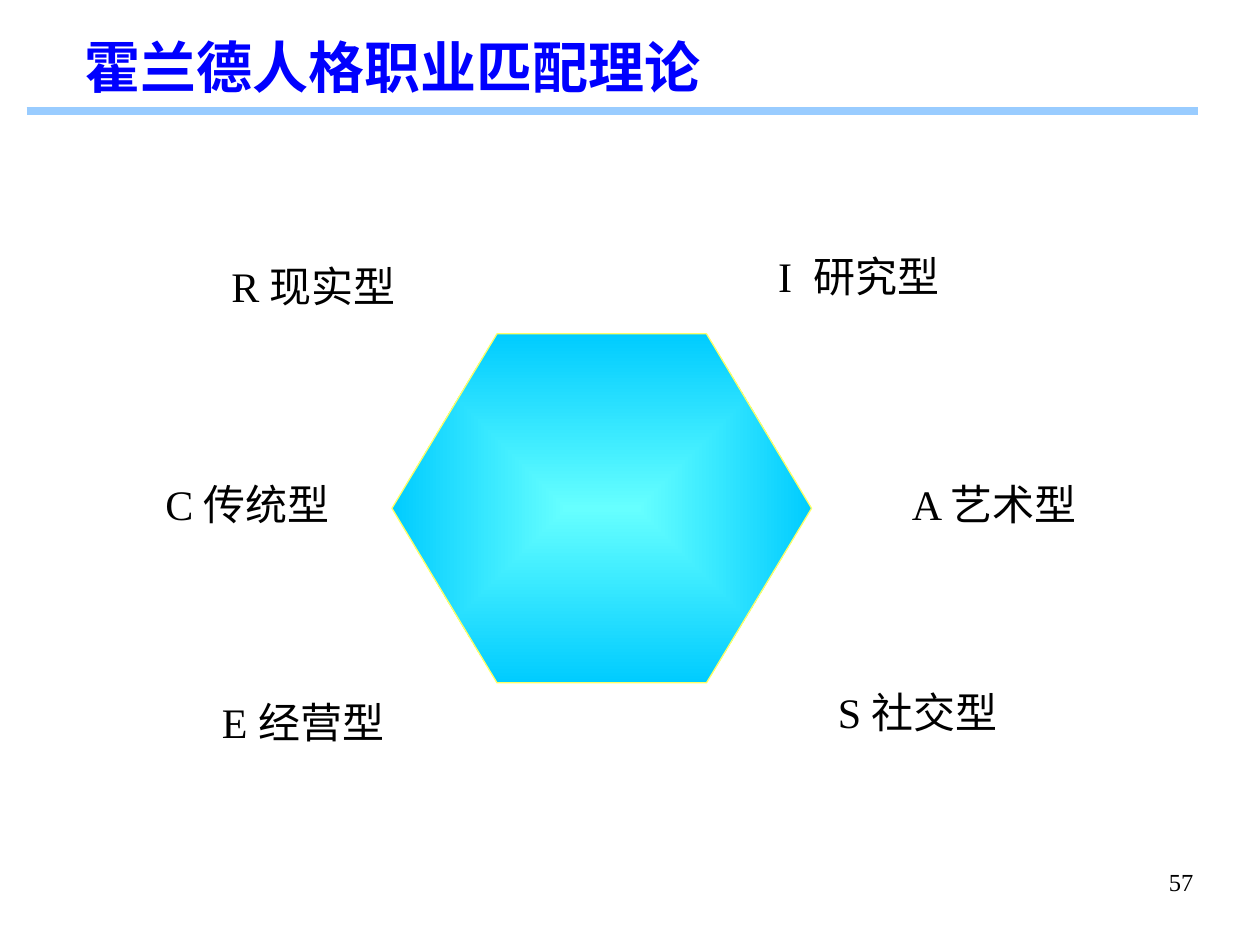
from lxml import etree
from pptx import Presentation
from pptx import util as u
from pptx.dml.color import RGBColor
from pptx.enum import shapes, text
from pptx.oxml import parse_xml
from pptx.oxml.ns import nsdecls, qn

Pt = u.Pt


def color(value):
    return RGBColor.from_string(value)


def style(run, size, value, bold=False):
    run.font.size = Pt(size)
    run.font.name = "Times New Roman"
    run.font.bold = bold
    run.font.color.rgb = color(value)
    east_asian = etree.SubElement(run.font._element, qn("a:ea"))
    east_asian.set("typeface", "Noto Sans CJK SC")


prs = Presentation()
prs.slide_width, prs.slide_height = Pt(720), Pt(540)
slide = prs.slides.add_slide(prs.slide_layouts[6])

# Rule under the title
rule = slide.shapes.add_connector(
    shapes.MSO_CONNECTOR.STRAIGHT, Pt(15.3), Pt(63.5), Pt(684.5), Pt(63.5))
rule.line.color.rgb = color("99CCFF")
rule.line.width = Pt(4.5)
etree.SubElement(rule._element.spPr, qn("a:effectLst"))

# Hexagon with a gradient from its centre
hexagon = slide.shapes.add_shape(
    shapes.MSO_SHAPE.HEXAGON, Pt(224), Pt(190.8), Pt(239.8), Pt(199.4))
hexagon.adjustments[0] = 0.301
hexagon.shadow.inherit = False
hexagon.line.color.rgb = color("FFFF66")
hexagon.line.width = Pt(0.75)
gradient = parse_xml(
    f'<a:gradFill {nsdecls("a")} rotWithShape="1"><a:gsLst>'
    '<a:gs pos="0"><a:srgbClr val="66FFFF"/></a:gs>'
    '<a:gs pos="100000"><a:srgbClr val="00CCFF"/></a:gs></a:gsLst>'
    '<a:path path="rect"><a:fillToRect l="50000" t="50000" r="50000" b="50000"/>'
    '</a:path></a:gradFill>')
hexagon._element.spPr.find(qn("a:prstGeom")).addnext(gradient)

# Personality types: letter, name, left, top, width, height, letter spacing
personality_types = [
    ("R", "现实型", 127.4, 145.4, 103.7, 33.8, 0),
    ("I", "研究型", 422.6, 139.7, 136.1, 45.4, 3),
    ("C", "传统型", 76.3, 270, 130.3, 57.6, 0),
    ("A", "艺术型", 513.4, 270, 109.4, 39.6, 0),
    ("E", "经营型", 115.9, 394.6, 114.5, 39.6, 0),
    ("S", "社交型", 462.2, 388.8, 124.6, 43.9, 0),
]
for letter, name, left, top, width, height, spacing in personality_types:
    label = slide.shapes.add_shape(
        shapes.MSO_SHAPE.RECTANGLE, Pt(left), Pt(top), Pt(width), Pt(height))
    label.shadow.inherit = False
    label.fill.solid()
    label.fill.fore_color.rgb = color("FFFFFF")
    label.line.fill.background()
    frame = label.text_frame
    frame.word_wrap = False
    frame.vertical_anchor = text.MSO_ANCHOR.TOP
    frame.margin_left = frame.margin_right = Pt(1)
    paragraph = frame.paragraphs[0]
    paragraph.alignment = text.PP_ALIGN.CENTER
    for part in (f"{letter} ", name):
        run = paragraph.add_run()
        run.text = part
        style(run, 24, "000000")
    if spacing:
        paragraph.runs[0].font._element.set("spc", str(spacing * 100))

# Title
title = slide.shapes.add_textbox(Pt(31), Pt(3.6), Pt(561.6), Pt(60.5)).text_frame
title.word_wrap = True
title.vertical_anchor = text.MSO_ANCHOR.MIDDLE
title.margin_left, title.margin_top = Pt(17.2), Pt(11)
title.text = "霍兰德人格职业匹配理论"
style(title.paragraphs[0].runs[0], 32, "0000FF", bold=True)

# Page number
page = slide.shapes.add_textbox(Pt(516.2), Pt(491.8), Pt(172.8), Pt(36)).text_frame
page.word_wrap = True
page.text = "57"
page.paragraphs[0].alignment = text.PP_ALIGN.RIGHT
style(page.paragraphs[0].runs[0], 14, "000000")

prs.save("out.pptx")
